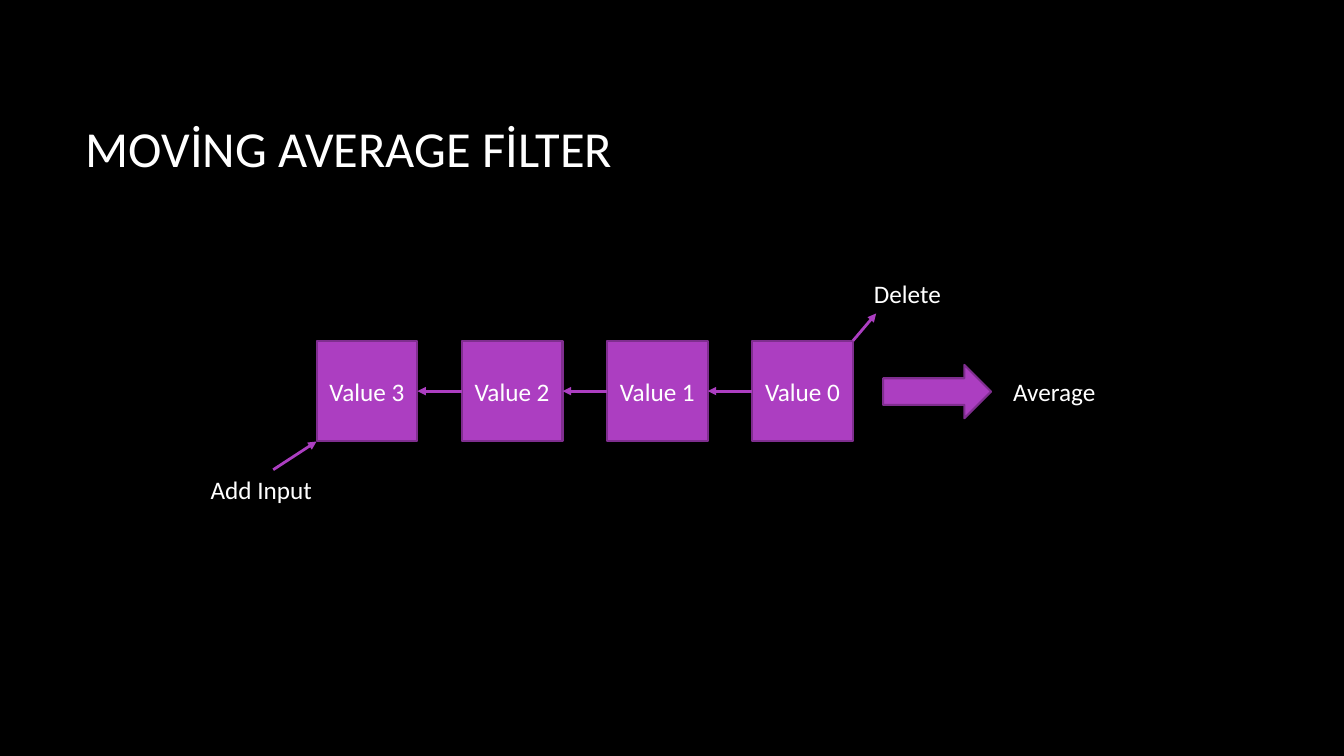
from dataclasses import dataclass

from pptx import Presentation
from pptx import util as u
from pptx.dml.color import RGBColor
from pptx.enum import lang, shapes, text
from pptx.oxml.ns import qn
from lxml import etree


@dataclass(frozen=True)
class Theme:
    """Colours, font and sizes of the slide."""
    background: str = "000000"
    ink: str = "FFFFFF"
    accent: str = "AC3EC1"
    edge: str = "7F2E8F"
    font: str = "Calibri"
    title_size: int = 36
    body_size: int = 18
    edge_width: float = 1.5
    arrow_width: float = 2


THEME = Theme()
SLIDE_WIDTH, SLIDE_HEIGHT = 13.33, 7.5
CELL, PITCH = 1, 1.44
QUEUE_LEFT, QUEUE_TOP = 3.14, 3.38
LEFT_SITE, RIGHT_SITE = 1, 3
QUEUE = ["Value 3", "Value 2", "Value 1", "Value 0"]


def inches(*lengths):
    """Turn lengths in inches into slide units."""
    return [u.Inches(length) for length in lengths]


def apply(target, values):
    """Set every attribute in a dict of format values."""
    for name, value in values.items():
        setattr(target, name, value)


def write(holder, wording, size=THEME.body_size, align=text.PP_ALIGN.LEFT,
          anchor=text.MSO_ANCHOR.MIDDLE):
    """Put one formatted line of text in a shape and return its run."""
    frame = holder.text_frame
    apply(frame, {"word_wrap": True, "vertical_anchor": anchor})
    paragraph = frame.paragraphs[0]
    paragraph.alignment = align
    run = paragraph.add_run()
    run.text = wording
    apply(run.font, {"name": THEME.font, "size": u.Pt(size), "bold": False})
    run.font.color.rgb = RGBColor.from_string(THEME.ink)
    return run


def add_title(slide, wording):
    """Fill the title placeholder, capitalised by Turkish rules."""
    title = slide.shapes.title
    apply(title, dict(zip(("left", "top", "width", "height"),
                          inches(0.75, 0.67, 11.08, 1.59))))
    run = write(title, wording, THEME.title_size)
    run.font.language_id = lang.MSO_LANGUAGE_ID.TURKISH
    run.font._element.set("cap", "all")


def add_block(slide, preset, left, top, width, height):
    """Add a filled and outlined preset shape."""
    block = slide.shapes.add_shape(preset, *inches(left, top, width, height))
    block.shadow.inherit = False
    block.fill.solid()
    block.fill.fore_color.rgb = RGBColor.from_string(THEME.accent)
    block.line.color.rgb = RGBColor.from_string(THEME.edge)
    block.line.width = u.Pt(THEME.edge_width)
    return block


def add_value(slide, column, wording):
    """Add one value of the queue in its column."""
    value = add_block(slide, shapes.MSO_SHAPE.RECTANGLE,
                      QUEUE_LEFT + column * PITCH, QUEUE_TOP, CELL, CELL)
    write(value, wording, align=text.PP_ALIGN.CENTER)
    return value


def add_arrow(slide, start=(0, 0), end=(0, 0)):
    """Add a straight arrow pointing at its end."""
    arrow = slide.shapes.add_connector(shapes.MSO_CONNECTOR.STRAIGHT,
                                       *inches(*start, *end))
    arrow.line.color.rgb = RGBColor.from_string(THEME.accent)
    arrow.line.width = u.Pt(THEME.arrow_width)
    etree.SubElement(arrow.line._get_or_add_ln(), qn("a:tailEnd"), type="triangle")
    etree.SubElement(arrow._element.spPr, qn("a:effectLst"))
    return arrow


def add_label(slide, wording, left, top, width):
    """Add a plain label beside the queue."""
    label = slide.shapes.add_textbox(*inches(left, top, width, 0.4))
    write(label, wording, anchor=text.MSO_ANCHOR.TOP)


def main():
    """Build the slide and save it."""
    deck = Presentation()
    apply(deck, {"slide_width": u.Inches(SLIDE_WIDTH),
                 "slide_height": u.Inches(SLIDE_HEIGHT)})
    slide = deck.slides.add_slide(deck.slide_layouts.get_by_name("Title Only"))
    slide.background.fill.solid()
    slide.background.fill.fore_color.rgb = RGBColor.from_string(THEME.background)
    add_title(slide, "Moving Average Filter")

    values = [add_value(slide, column, wording)
              for column, wording in enumerate(QUEUE)]
    for older, newer in zip(values, values[1:]):
        shift = add_arrow(slide)
        shift.begin_connect(newer, LEFT_SITE)
        shift.end_connect(older, RIGHT_SITE)

    queue_right = QUEUE_LEFT + (len(QUEUE) - 1) * PITCH + CELL
    add_arrow(slide, (queue_right, QUEUE_TOP), (8.69, 3.11))
    add_label(slide, "Delete", 8.57, 2.71, 1)
    add_arrow(slide, (2.71, 4.66), (QUEUE_LEFT, QUEUE_TOP + CELL))
    add_label(slide, "Add Input", 1.99, 4.66, 1.45)
    add_block(slide, shapes.MSO_SHAPE.RIGHT_ARROW, 8.76, 3.62, 1.07, 0.53)
    add_label(slide, "Average", 9.95, 3.68, 1.3)
    deck.save("out.pptx")


main()
